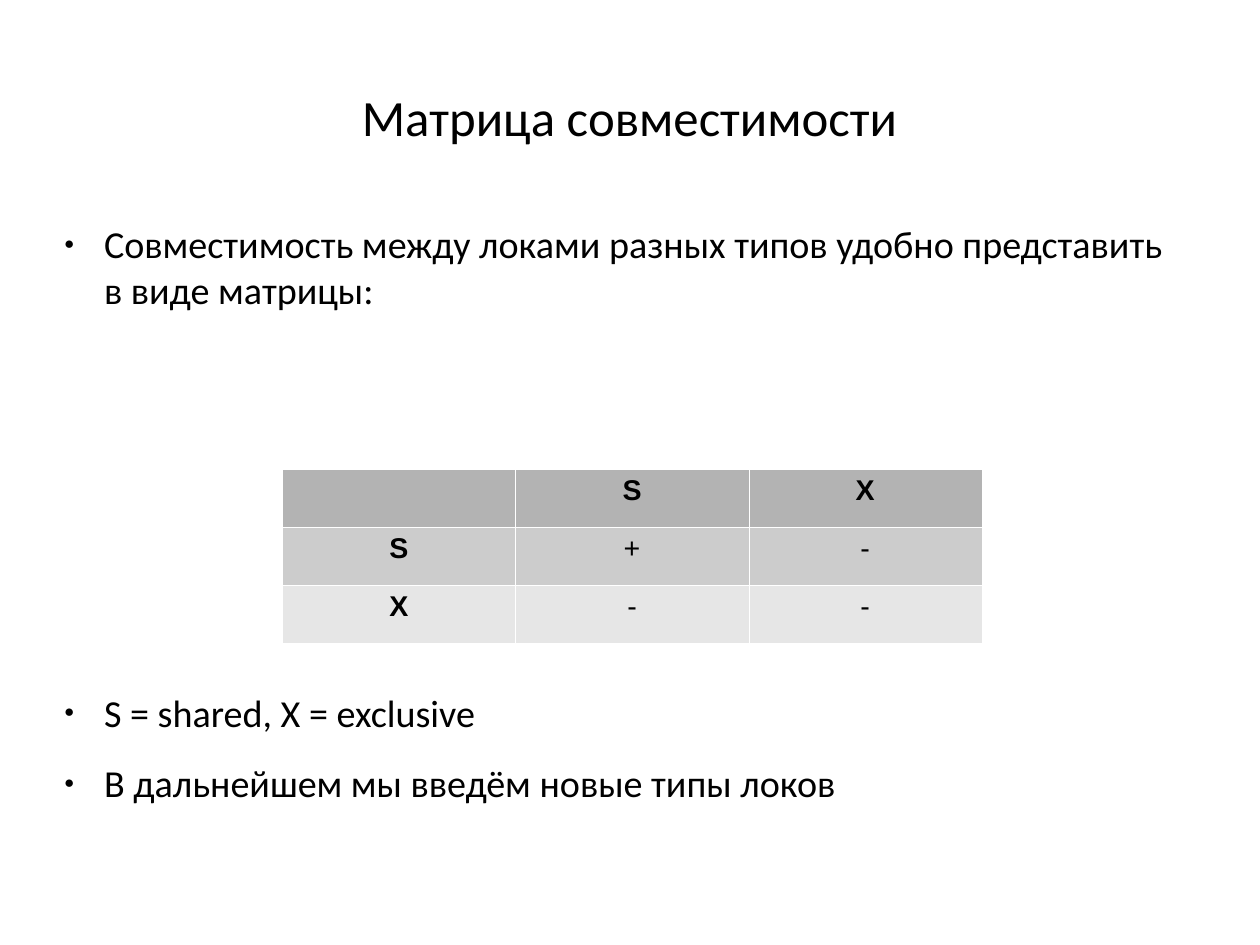
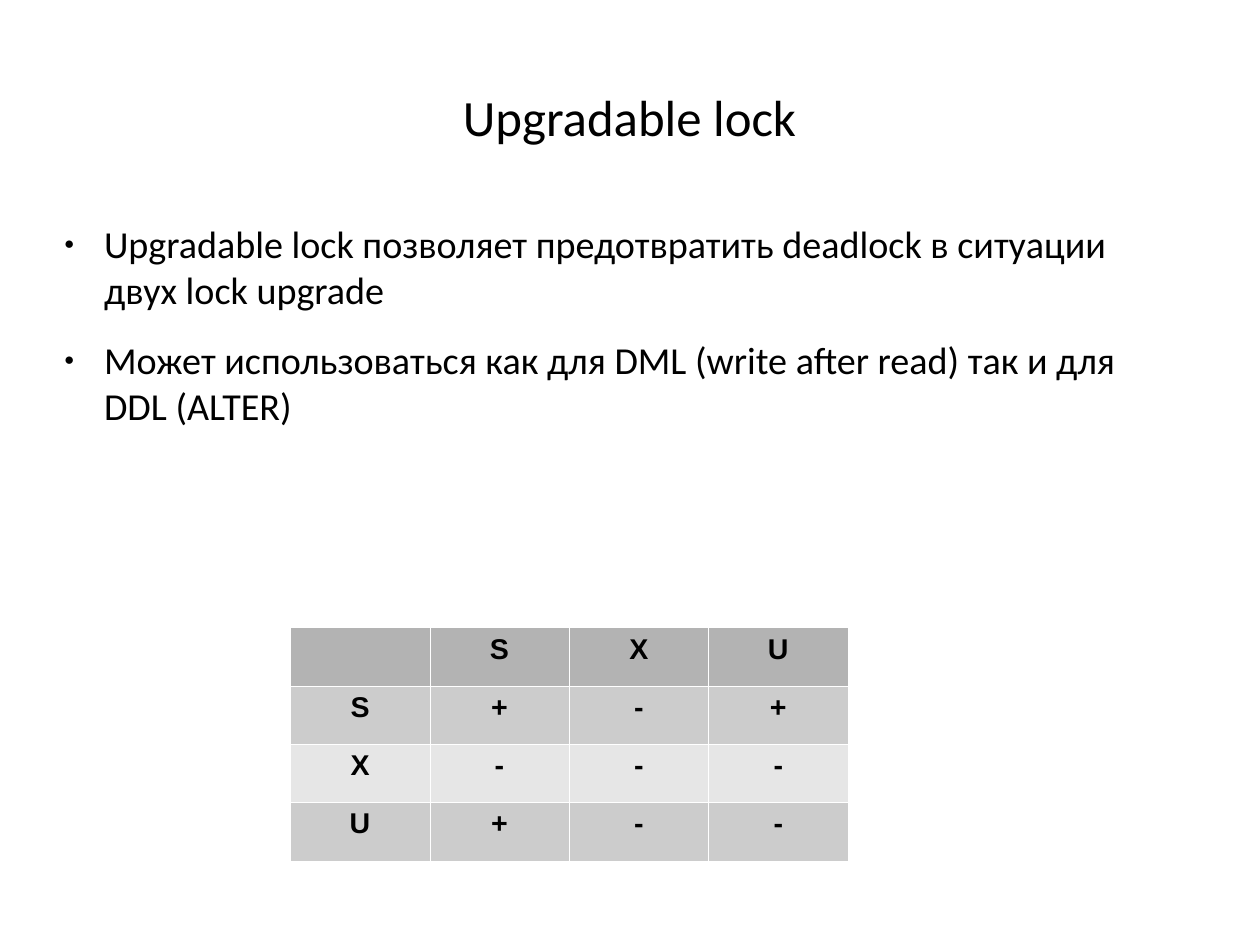
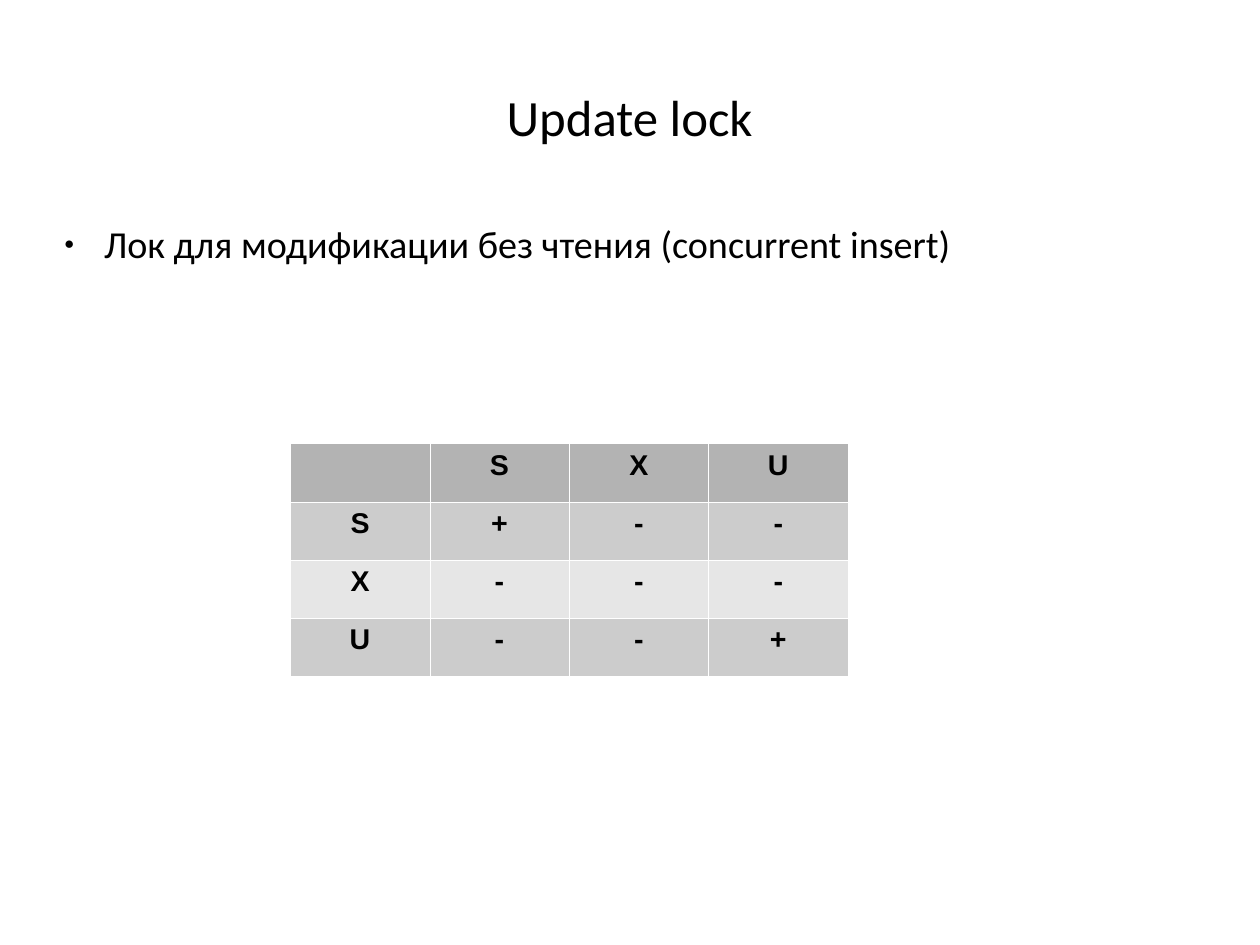
import pptx
import pptx.util
import pptx.dml.color
import pptx.enum.text
import pptx.oxml
import pptx.oxml.ns

Inches = pptx.util.Inches
Pt = pptx.util.Pt
RGBColor = pptx.dml.color.RGBColor
PP_ALIGN = pptx.enum.text.PP_ALIGN
MSO_ANCHOR = pptx.enum.text.MSO_ANCHOR

BLACK = RGBColor(0x00, 0x00, 0x00)
HEADER_GRAY = RGBColor(0xB3, 0xB3, 0xB3)
BAND_GRAYS = [RGBColor(0xCC, 0xCC, 0xCC), RGBColor(0xE6, 0xE6, 0xE6)]
NAMESPACE = pptx.oxml.ns.nsdecls("a")
BULLET_PARTS = [
    f'<a:buClr {NAMESPACE}><a:srgbClr val="000000"/></a:buClr>',
    f'<a:buSzPct {NAMESPACE} val="45000"/>',
    f'<a:buFont {NAMESPACE} typeface="Arial"/>',
    f'<a:buChar {NAMESPACE} char="●"/>',
]
CM_PER_INCH = 2.54
ROW_HEIGHT = 0.51
BULLET_GAP = 15.6
TABLE_GAP = 237.6

SLIDES = [
    {
        "title": "Матрица совместимости",
        "bullets": [
            ("Совместимость между локами разных типов удобно представить в виде матрицы:", TABLE_GAP),
            ("S = shared, X = exclusive", BULLET_GAP),
            ("В дальнейшем мы введём новые типы локов", BULLET_GAP),
        ],
        "table_left": 2.47,
        "table_top": 4.1,
        "column_width": 2.04,
        "bold_marks": False,
        "locks": "SX",
        "marks": ["+-", "--"],
    },
    {
        "title": "Upgradable lock",
        "bullets": [
            ("Upgradable lock позволяет предотвратить deadlock в ситуации двух lock upgrade", BULLET_GAP),
            ("Может использоваться как для DML (write after read) так и для DDL (ALTER)", BULLET_GAP),
        ],
        "table_left": 2.54,
        "table_top": 5.49,
        "column_width": 1.22,
        "bold_marks": True,
        "locks": "SXU",
        "marks": ["+-+", "---", "+--"],
    },
    {
        "title": "Update lock",
        "bullets": [("Лок для модификации без чтения (concurrent insert)", BULLET_GAP)],
        "table_left": 2.54,
        "table_top": 3.88,
        "column_width": 1.22,
        "bold_marks": True,
        "locks": "SXU",
        "marks": ["+--", "---", "--+"],
    },
]


def add_text_frame(page, left, top, width, height, anchor):
    box = page.shapes.add_textbox(Inches(left), Inches(top), Inches(width), Inches(height))
    frame = box.text_frame
    frame.word_wrap = True
    frame.vertical_anchor = anchor
    frame.margin_left = frame.margin_right = frame.margin_top = frame.margin_bottom = 0
    return frame


def add_span(para, text, font_name, size, bold=False):
    span = para.add_run()
    span.text = text
    span.font.name = font_name
    span.font.size = Pt(size)
    span.font.bold = bold
    span.font.color.rgb = BLACK


deck = pptx.Presentation()
deck.slide_width = Inches(28 / CM_PER_INCH)
deck.slide_height = Inches(21 / CM_PER_INCH)

for content in SLIDES:
    page = deck.slides.add_slide(deck.slide_layouts[6])

    title_frame = add_text_frame(page, 0.55, 0.33, 9.92, 1.38, MSO_ANCHOR.MIDDLE)
    title_para = title_frame.paragraphs[0]
    title_para.alignment = PP_ALIGN.CENTER
    add_span(title_para, content["title"], "Calibri", 32)

    body_frame = add_text_frame(page, 0.44, 1.93, 9.92, 5.46, MSO_ANCHOR.TOP)
    for index, (text, gap) in enumerate(content["bullets"]):
        para = body_frame.paragraphs[0] if index == 0 else body_frame.add_paragraph()
        properties = para._p.get_or_add_pPr()
        properties.set("marL", str(Inches(0.47)))
        properties.set("indent", str(Inches(-0.35)))
        for part in BULLET_PARTS:
            properties.append(pptx.oxml.parse_xml(part))
        para.space_after = Pt(gap)
        add_span(para, text, "Calibri", 24)

    locks = content["locks"]
    grid = [["", *locks]] + [[lock, *marks] for lock, marks in zip(locks, content["marks"])]
    count = len(grid)
    table = page.shapes.add_table(
        count, count,
        Inches(content["table_left"]), Inches(content["table_top"]),
        Inches(content["column_width"] * count), Inches(ROW_HEIGHT * count),
    ).table
    for column in table.columns:
        column.width = Inches(content["column_width"])
    for row_index, labels in enumerate(grid):
        table.rows[row_index].height = Inches(ROW_HEIGHT)
        for column_index, label in enumerate(labels):
            cell = table.cell(row_index, column_index)
            cell_properties = cell._tc.get_or_add_tcPr()
            for side in ("lnL", "lnR", "lnT", "lnB"):
                cell_properties.append(pptx.oxml.parse_xml(
                    f'<a:{side} {NAMESPACE} w="762"><a:solidFill>'
                    f'<a:srgbClr val="FFFFFF"/></a:solidFill></a:{side}>'
                ))
            cell.fill.solid()
            cell.fill.fore_color.rgb = BAND_GRAYS[(row_index - 1) % 2] if row_index else HEADER_GRAY
            if label:
                para = cell.text_frame.paragraphs[0]
                para.alignment = PP_ALIGN.CENTER
                is_heading = row_index == 0 or column_index == 0
                add_span(para, label, "Arial", 18, is_heading or content["bold_marks"])

deck.save("out.pptx")
